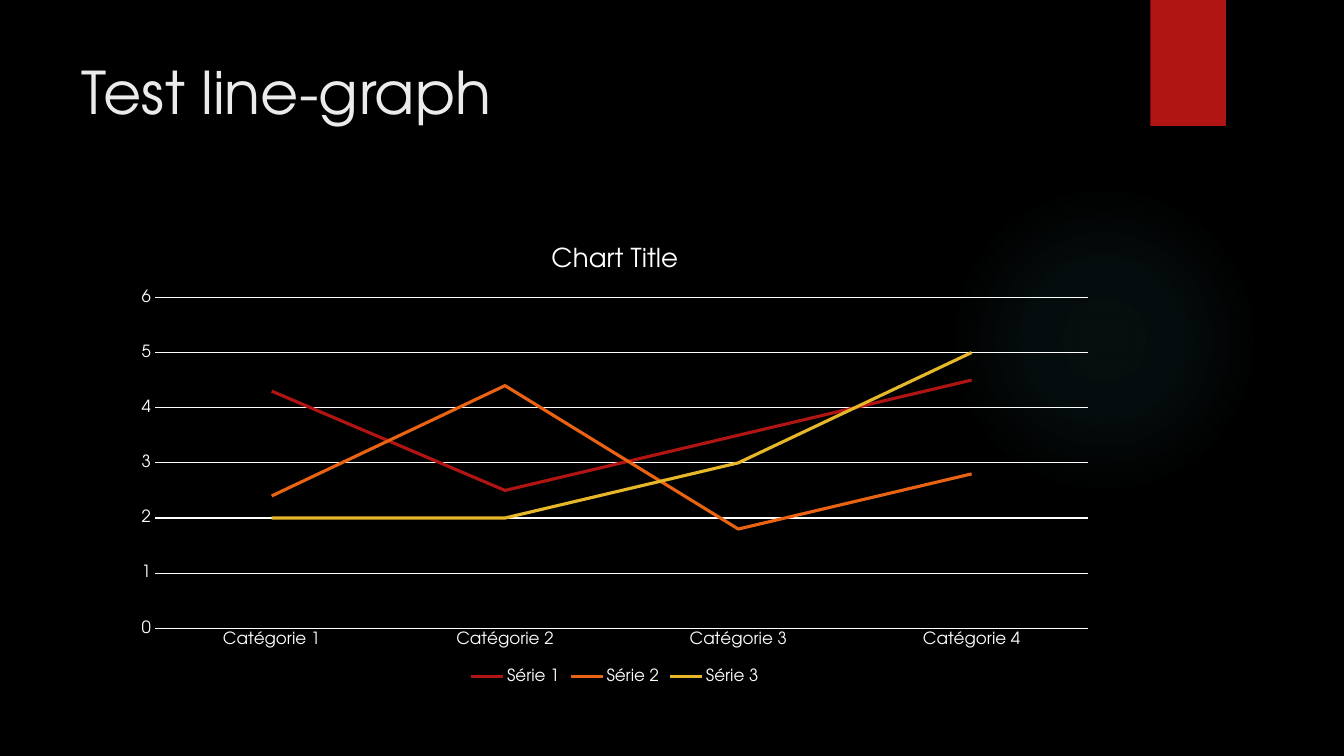
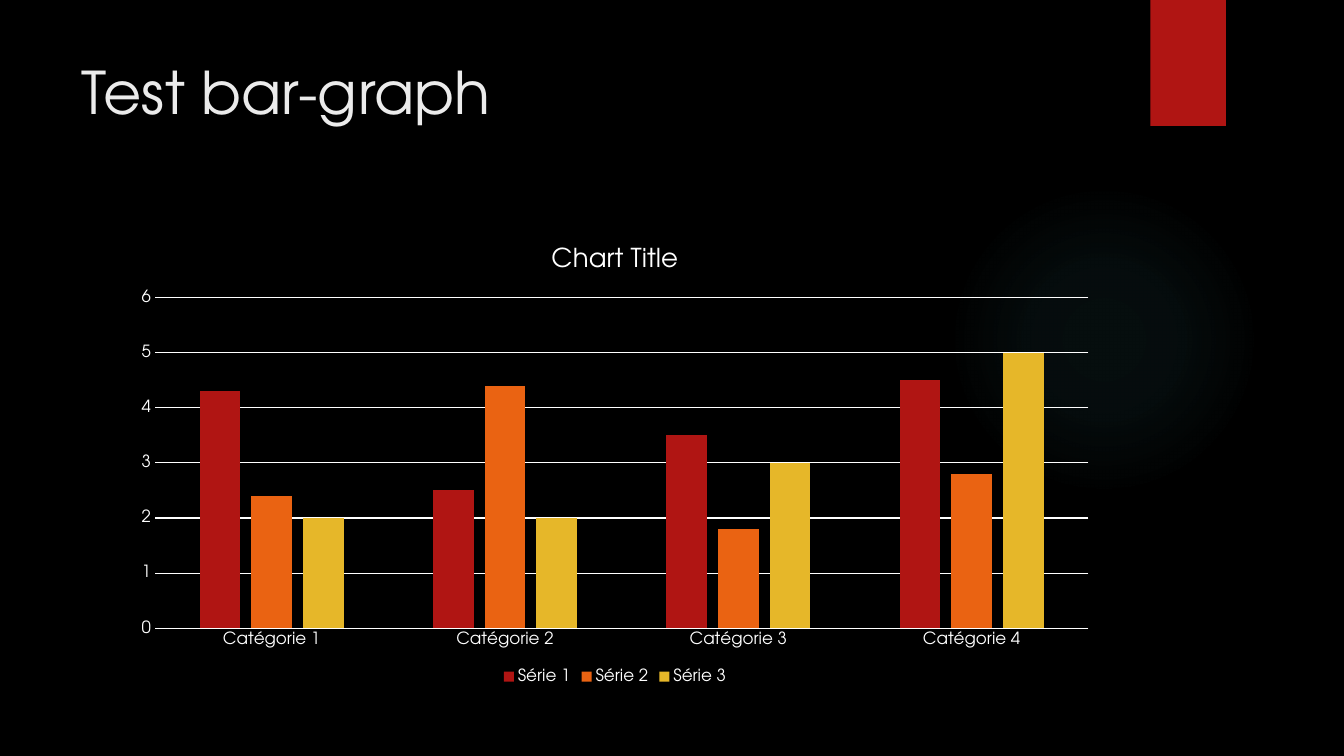
"""Two dark slides, each with a title and a chart."""
from pptx import Presentation, oxml
from pptx.chart import data
from pptx.dml import color
from pptx.enum import chart as ch, shapes, text
from pptx.oxml import ns
from pptx.util import Inches, Pt

RGB = color.RGBColor
BLACK = RGB(0x00, 0x00, 0x00)
WHITE = RGB(0xFF, 0xFF, 0xFF)
PALE = RGB(0xEB, 0xEB, 0xEB)
TEAL = RGB(0x50, 0xB9, 0xC1)
RED = RGB(0xB0, 0x15, 0x13)
ORANGE = RGB(0xEA, 0x63, 0x12)
GOLD = RGB(0xE6, 0xB7, 0x29)

FACE = "TeX Gyre Adventor"
LINE = ch.XL_CHART_TYPE.LINE
BAR = ch.XL_CHART_TYPE.COLUMN_CLUSTERED
GROUPS = [f"Catégorie {n}" for n in range(1, 5)]
SERIES = [
    ("Série 1", (4.3, 2.5, 3.5, 4.5), RED),
    ("Série 2", (2.4, 4.4, 1.8, 2.8), ORANGE),
    ("Série 3", (2, 2, 3, 5), GOLD),
]
GLOW = [(0, 7), (36, 6), (69, 0)]  # stop and opacity, in percent


class Deck:
    """Holds the style and the current slide."""

    def __init__(self):
        """Start an empty wide deck."""
        self.prs = Presentation()
        self.prs.slide_width = Inches(13.33)
        self.prs.slide_height = Inches(7.5)
        self.slide = None

    def page(self, title):
        """Add a slide with the shared backdrop and its title."""
        self.slide = self.prs.slides.add_slide(self.prs.slide_layouts[6])
        fill = self.slide.background.fill
        fill.solid()
        fill.fore_color.rgb = BLACK
        self.glow(9.41, 1.83, 3.08)
        self.band(11.41, 0, 0.75, 1.25)
        self.title(title, 0.71, 0.5, 10.29, 1.53)

    def shape(self, kind, x, y, w, h):
        """Add a preset shape without line or shadow."""
        item = self.slide.shapes.add_shape(
            kind, Inches(x), Inches(y), Inches(w), Inches(h))
        item.shadow.inherit = False
        item.line.fill.background()
        return item

    def glow(self, x, y, size):
        """Add a circle of light that fades outwards."""
        disc = self.shape(shapes.MSO_SHAPE.OVAL, x, y, size, size)
        disc.fill.background()
        stops = "".join(
            f'<a:gs pos="{pos * 1000}"><a:srgbClr val="{TEAL}">'
            f'<a:alpha val="{alpha * 1000}"/></a:srgbClr></a:gs>'
            for pos, alpha in GLOW)
        grad = oxml.parse_xml(
            f'<a:gradFill {ns.nsdecls("a")}><a:gsLst>{stops}</a:gsLst>'
            '<a:path path="circle"><a:fillToRect l="50000" t="50000" '
            'r="50000" b="50000"/></a:path></a:gradFill>')
        props = disc.element.spPr
        props.replace(props.find(ns.qn("a:noFill")), grad)

    def band(self, x, y, w, h):
        """Add the red tab at the top edge."""
        tab = self.shape(shapes.MSO_SHAPE.RECTANGLE, x, y, w, h)
        tab.fill.solid()
        tab.fill.fore_color.rgb = RED

    def font(self, font, size, tint=WHITE):
        """Set face, size and colour of a font."""
        font.name = FACE
        font.size = Pt(size)
        font.bold = False
        font.color.rgb = tint

    def title(self, words, x, y, w, h):
        """Add the slide title."""
        box = self.slide.shapes.add_textbox(
            Inches(x), Inches(y), Inches(w), Inches(h))
        frame = box.text_frame
        frame.word_wrap = True
        frame.vertical_anchor = text.MSO_ANCHOR.TOP
        para = frame.paragraphs[0]
        para.text = words
        self.font(para.font, 42, PALE)

    def chart(self, kind):
        """Add a line or bar chart of the series."""
        table = data.CategoryChartData()
        table.categories = GROUPS
        for name, vals, _ in SERIES:
            table.add_series(name, vals)
        chart = self.slide.shapes.add_chart(
            kind, Inches(1.21), Inches(2.24), Inches(9.78), Inches(4.59),
            table).chart
        self.font(chart.font, 10)
        chart.has_title = True
        para = chart.chart_title.text_frame.paragraphs[0]
        para.text = "Chart Title"
        self.font(para.font, 18.6)
        chart.chart_title.include_in_layout = False
        chart.has_legend = True
        chart.legend.position = ch.XL_LEGEND_POSITION.BOTTOM
        chart.legend.include_in_layout = False
        self.font(chart.legend.font, 12)
        self.axes(chart)
        self.paint(chart.plots[0], kind)

    def axes(self, chart):
        """Style both axes and the grid."""
        cat, val = chart.category_axis, chart.value_axis
        for axis in (cat, val):
            axis.major_tick_mark = ch.XL_TICK_MARK.NONE
            axis.minor_tick_mark = ch.XL_TICK_MARK.NONE
            self.font(axis.tick_labels.font, 12)
        val.minimum_scale, val.maximum_scale, val.major_unit = 0, 6, 1
        val.has_major_gridlines = True
        val.format.line.fill.background()
        for line in (cat.format.line, val.major_gridlines.format.line):
            line.color.rgb = WHITE
            line.width = Pt(0.75)

    def paint(self, plot, kind):
        """Colour the series of a plot."""
        plot.vary_by_categories = False
        if kind == BAR:
            plot.gap_width, plot.overlap = 219, -27
        for item, (_, _, tint) in zip(plot.series, SERIES):
            if kind == LINE:
                item.smooth = False
                item.marker.style = ch.XL_MARKER_STYLE.NONE
                item.format.line.color.rgb = tint
                item.format.line.width = Pt(2.25)
            else:
                item.format.fill.solid()
                item.format.fill.fore_color.rgb = tint


deck = Deck()
for head, kind in (("Test line-graph", LINE), ("Test bar-graph", BAR)):
    deck.page(head)
    deck.chart(kind)
deck.prs.save("out.pptx")
